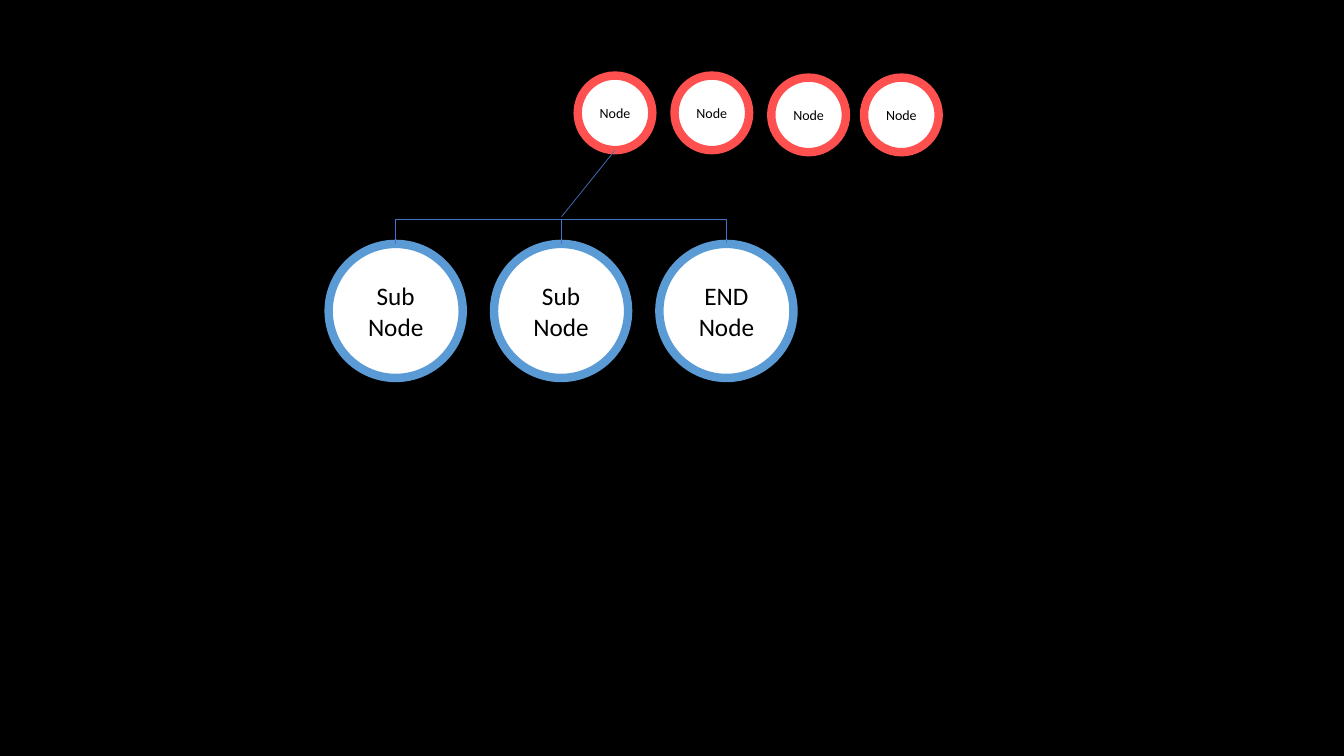
import lxml.etree
import pptx
import pptx.util
import pptx.dml.color
import pptx.enum.shapes
import pptx.enum.text
import pptx.oxml.ns

Inches = pptx.util.Inches
Pt = pptx.util.Pt
qn = pptx.oxml.ns.qn
COLOURS = {
    "background": "000000",
    "face": "FFFFFF",
    "text": "000000",
    "sub": "5B9BD5",
    "node": "FF5050",
    "link": "4472C4",
}


def colour(name):
    return pptx.dml.color.RGBColor.from_string(COLOURS[name])


def add_link(kind, start_x, start_y, end_x, end_y):
    link = page.shapes.add_connector(
        kind, Inches(start_x), Inches(start_y), Inches(end_x), Inches(end_y))
    link.line.color.rgb = colour("link")
    link.line.width = Pt(0.5)
    lxml.etree.SubElement(link.element.spPr, qn("a:effectLst"))
    return link


deck = pptx.Presentation()
deck.slide_width, deck.slide_height = Inches(13.33), Inches(7.5)
page = deck.slides.add_slide(deck.slide_layouts[6])
page.background.fill.solid()
page.background.fill.fore_color.rgb = colour("background")

sub_pitch = 1.64
sub_lines = [["Sub", "Node"], ["Sub Node"], ["END Node"]]
circles = [
    (3.26 + index * sub_pitch, 2.42, 1.33, "sub", 18, 0.1, lines)
    for index, lines in enumerate(sub_lines)
]
circles += [
    (left, top, 0.74, "node", 10, 0, ["Node"])
    for left, top in [(5.73, 0.75), (6.69, 0.75), (7.65, 0.77), (8.57, 0.77)]
]

for left, top, size, ring, points, margin, lines in circles:
    circle = page.shapes.add_shape(
        pptx.enum.shapes.MSO_SHAPE.OVAL,
        Inches(left), Inches(top), Inches(size), Inches(size))
    circle.shadow.inherit = False
    circle.fill.solid()
    circle.fill.fore_color.rgb = colour("face")
    circle.line.color.rgb = colour(ring)
    circle.line.width = Pt(6)
    frame = circle.text_frame
    frame_format = {
        "word_wrap": True,
        "vertical_anchor": pptx.enum.text.MSO_ANCHOR.MIDDLE,
        "margin_left": Inches(margin),
        "margin_right": Inches(margin),
        "text": "\n".join(lines),
    }
    for name, value in frame_format.items():
        setattr(frame, name, value)
    for para in frame.paragraphs:
        para.alignment = pptx.enum.text.PP_ALIGN.CENTER
        for span in para.runs:
            for name, value in {"name": "Calibri", "size": Pt(points)}.items():
                setattr(span.font, name, value)
            span.font.color.rgb = colour("text")

connector_kinds = pptx.enum.shapes.MSO_CONNECTOR
for index in range(len(sub_lines) - 1):
    left = 4.74 + index * sub_pitch
    bracket = add_link(connector_kinds.ELBOW, left + 0.01, 1.6 + sub_pitch, left, 1.6)
    properties = bracket.element.spPr
    properties.find(qn("a:xfrm")).set("rot", "5400000")
    geometry = properties.find(qn("a:prstGeom"))
    adjustments = geometry.find(qn("a:avLst"))
    if adjustments is None:
        adjustments = lxml.etree.SubElement(geometry, qn("a:avLst"))
    lxml.etree.SubElement(adjustments, qn("a:gd"), name="adj1", fmla="val 2500000")

add_link(connector_kinds.STRAIGHT, 5.57, 2.15, 6.1, 1.49)

deck.save("out.pptx")
